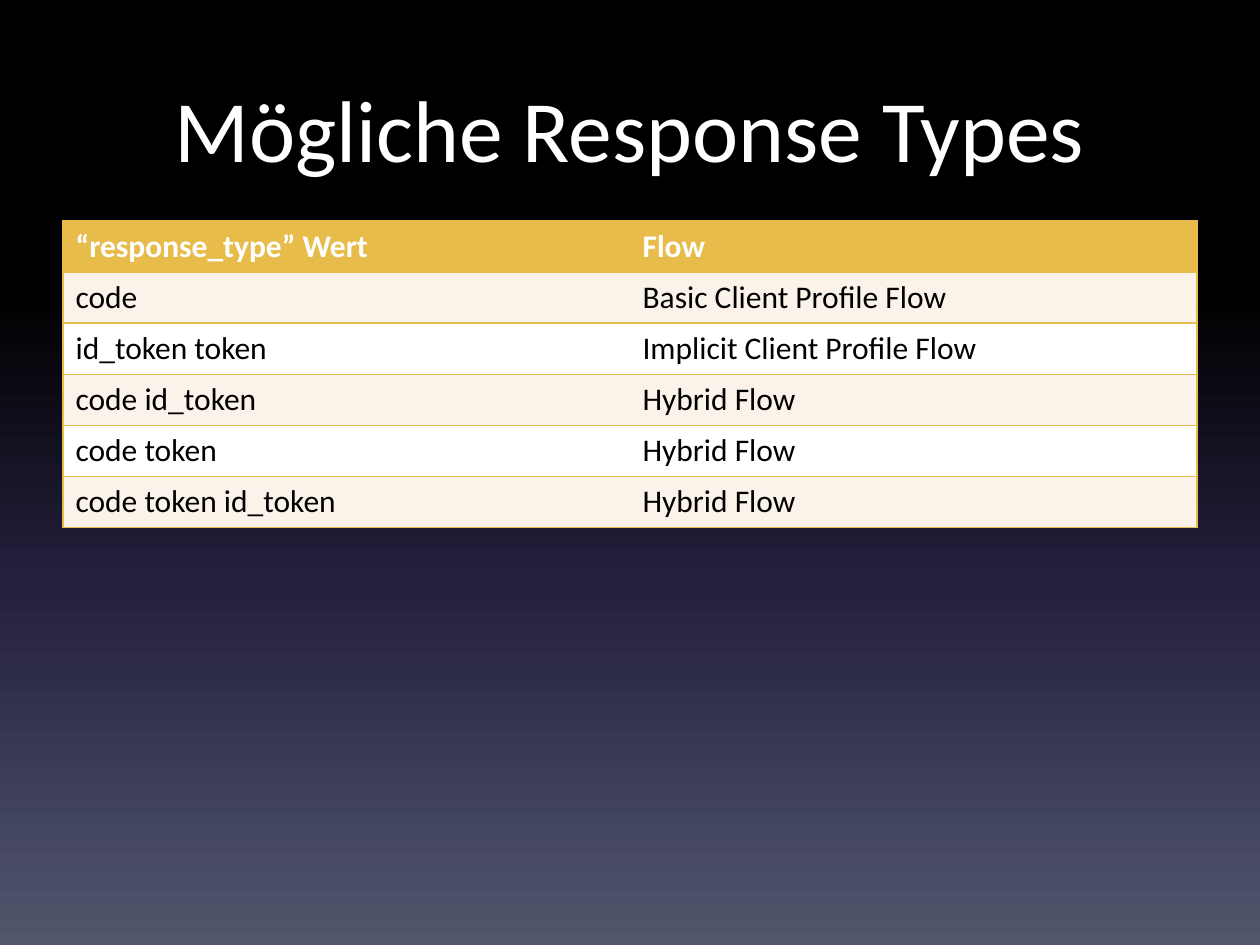
from typing import NamedTuple

from lxml import etree
from pptx import Presentation
from pptx import util as u
from pptx.dml.color import RGBColor
from pptx.enum import text
from pptx.oxml.ns import qn

PX = 914400 / 126
FONT = "Calibri"
COLORS = {
    "black": "000000",
    "navy": "24213E",
    "slate": "51566D",
    "white": "FFFFFF",
    "gold": "E8BC4A",
    "cream": "FBF3E9",
}
BACKGROUND_STOPS = [(0, "black"), (31, "black"), (62, "navy"), (100, "slate")]
LEFT, WIDTH = 63, 1134
TITLE_TOP, TITLE_HEIGHT = 63, 158
TABLE_TOP, ROW_HEIGHT = 221, 51


class ResponseType(NamedTuple):
    value: str
    flow: str


HEADER = ResponseType("“response_type” Wert", "Flow")
RESPONSE_TYPES = [
    ResponseType("code", "Basic Client Profile Flow"),
    ResponseType("id_token token", "Implicit Client Profile Flow"),
    ResponseType("code id_token", "Hybrid Flow"),
    ResponseType("code token", "Hybrid Flow"),
    ResponseType("code token id_token", "Hybrid Flow"),
]


def px(length: int) -> u.Emu:
    return u.Emu(round(length * PX))


def style_paragraph(paragraph, size: int, color: str, bold: bool = False) -> None:
    font = paragraph.font
    font.name, font.size, font.bold = FONT, u.Pt(size), bold
    font.color.rgb = RGBColor.from_string(COLORS[color])


def paint_background(slide) -> None:
    fill = slide.background.fill
    fill.gradient()
    fill.gradient_angle = 270
    stops = slide.element.find(".//" + qn("a:gsLst"))
    for stop in list(stops):
        stops.remove(stop)
    for percent, color in BACKGROUND_STOPS:
        stop = etree.SubElement(stops, qn("a:gs"), pos=str(percent * 1000))
        etree.SubElement(stop, qn("a:srgbClr"), val=COLORS[color])


def add_title(slide, wording: str) -> None:
    title = slide.shapes.title
    title.left, title.top = px(LEFT), px(TITLE_TOP)
    title.width, title.height = px(WIDTH), px(TITLE_HEIGHT)
    frame = title.text_frame
    frame.text = wording
    frame.word_wrap = True
    frame.auto_size = text.MSO_AUTO_SIZE.NONE
    frame.vertical_anchor = text.MSO_ANCHOR.TOP
    frame.margin_top = px(12)
    paragraph = frame.paragraphs[0]
    paragraph.alignment = text.PP_ALIGN.CENTER
    style_paragraph(paragraph, 50, "white")


def set_borders(cell, visible_sides: str) -> None:
    """Draw gold lines on the given sides (of L, R, T, B) and hide the others."""
    properties = cell._tc.get_or_add_tcPr()
    for position, side in enumerate("LRTB"):
        line = etree.Element(qn(f"a:ln{side}"), w=str(u.Pt(1)))
        if side in visible_sides:
            fill = etree.SubElement(line, qn("a:solidFill"))
            etree.SubElement(fill, qn("a:srgbClr"), val=COLORS["gold"])
        else:
            etree.SubElement(line, qn("a:noFill"))
        properties.insert(position, line)


def add_response_table(slide, header: ResponseType, entries: list[ResponseType]) -> None:
    rows = [header, *entries]
    table = slide.shapes.add_table(
        len(rows), len(header), px(LEFT), px(TABLE_TOP),
        px(WIDTH), px(ROW_HEIGHT * len(rows)),
    ).table
    for row, entry in enumerate(rows):
        is_header = row == 0
        background = "gold" if is_header else "cream" if row % 2 else "white"
        for column, wording in enumerate(entry):
            cell = table.cell(row, column)
            cell.text = wording
            cell.fill.solid()
            cell.fill.fore_color.rgb = RGBColor.from_string(COLORS[background])
            style_paragraph(cell.text_frame.paragraphs[0], 18,
                            "white" if is_header else "black", is_header)
            set_borders(cell, "LTB" if column == 0 else "RTB")


def main() -> None:
    presentation = Presentation()
    presentation.slide_width, presentation.slide_height = px(1260), px(945)
    slide = presentation.slides.add_slide(presentation.slide_layouts[5])
    paint_background(slide)
    add_title(slide, "Mögliche Response Types")
    add_response_table(slide, HEADER, RESPONSE_TYPES)
    presentation.save("out.pptx")


if __name__ == "__main__":
    main()
